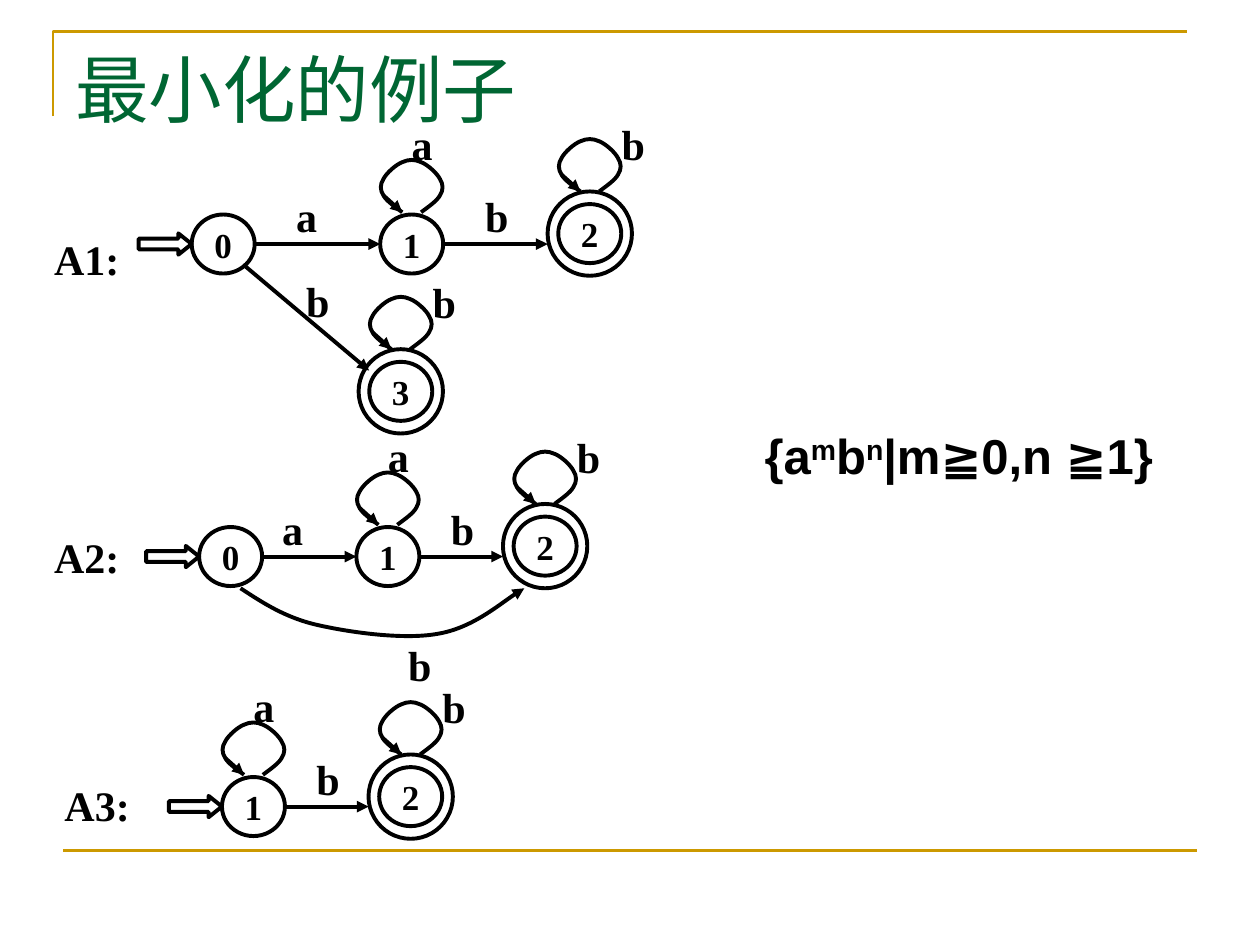
from lxml import etree
from pptx import Presentation
from pptx.dml.color import RGBColor
from pptx.enum.shapes import MSO_CONNECTOR, MSO_SHAPE
from pptx.enum.text import MSO_ANCHOR, MSO_AUTO_SIZE, PP_ALIGN
from pptx.oxml.ns import qn
from pptx.util import Cm, Pt

STRAIGHT = MSO_CONNECTOR.STRAIGHT
OVAL, ARROW = MSO_SHAPE.OVAL, MSO_SHAPE.RIGHT_ARROW
MIDDLE, CENTER = MSO_ANCHOR.MIDDLE, PP_ALIGN.CENTER
FIT_SHAPE = MSO_AUTO_SIZE.SHAPE_TO_FIT_TEXT

COLORS = {"ink": "000000", "title": "006633", "rule": "CC9900"}
SERIF, SANS = "Times New Roman", "Arial"

# Content; all positions in cm
TITLE = "最小化的例子"
FORMULA = [("{a", False), ("m", True), ("b", False), ("n", True),
           ("|m≧0,n ≧1}", False)]

# states: name -> (centre x, centre y, accepting, loop letter); the first starts
# edges: (from, to, letter, letter x)
AUTOMATA = [
    {"name": "A1:", "at": (1.09, 4.7),
     "states": {"0": (4.5, 4.92, False, None), "1": (8.3, 4.92, False, "a"),
                "2": (11.89, 4.71, True, "b"), "3": (8.08, 7.89, True, "b")},
     "edges": [("0", "1", "a", 5.97), ("1", "2", "b", 9.78)]},
    {"name": "A2:", "at": (1.09, 10.72),
     "states": {"0": (4.65, 11.22, False, None), "1": (7.82, 11.22, False, "a"),
                "2": (10.99, 11.01, True, "b")},
     "edges": [("0", "1", "a", 5.69), ("1", "2", "b", 9.09)]},
    {"name": "A3:", "at": (1.3, 15.72),
     "states": {"1": (5.11, 16.26, False, "a"), "2": (8.28, 16.06, True, "b")},
     "edges": [("1", "2", "b", 6.38)]},
]
DIAGONAL = ((4.9, 5.33), (7.44, 7.47), "b", (6.17, 5.56))
ARC = [(4.85, 11.86), (5.28, 12.14), (5.74, 12.45), (6.4, 12.6),
       (7.06, 12.75), (8.13, 12.9), (8.81, 12.78),
       (9.5, 12.67), (10.29, 12.01), (10.57, 11.86)]
ARC_LABEL = ("b", (8.23, 12.9))

# Right half of a self-loop, measured from the top of its state
LOOP_HALF = [(0.19, 0), (0.35, -0.12), (0.51, -0.23), (0.57, -0.34),
             (0.64, -0.45), (0.64, -0.56), (0.57, -0.67),
             (0.51, -0.79), (0.32, -0.96), (0.19, -1.01), (0.06, -1.07)]
LOOP = LOOP_HALF + [(-x, y) for x, y in reversed(LOOP_HALF)]

STATE_W, STATE_H, RING = 1.27, 1.19, 1.7
START_W, START_H = 1.07, 0.43
LABEL_H = 1.02
LABEL_W = {"a": 0.43, "b": 0.48}
NAME_W = 1.32

prs = Presentation()
prs.slide_width, prs.slide_height = Cm(25.4), Cm(19.05)
s = prs.slides.add_slide(prs.slide_layouts[6])


def color(name):
    return RGBColor.from_string(COLORS[name])


def outline(sp, name="ink", width=2.25, head=False):
    sp.line.color.rgb = color(name)
    sp.line.width = Pt(width)
    if head:
        etree.SubElement(sp.line._get_or_add_ln(), qn("a:tailEnd"), type="triangle")


def style(p, size, name=SERIF, bold=True, ink="ink"):
    p.font.size, p.font.name, p.font.bold = Pt(size), name, bold
    p.font.color.rgb = color(ink)


def line(start, end, name="ink", width=2.25, head=True):
    sp = s.shapes.add_connector(STRAIGHT, *[Cm(v) for v in (*start, *end)])
    etree.SubElement(sp._element.spPr, qn("a:effectLst"))
    outline(sp, name, width, head)


def shape(kind, cx, cy, w, h):
    sp = s.shapes.add_shape(kind, Cm(cx - w / 2), Cm(cy - h / 2), Cm(w), Cm(h))
    sp.shadow.inherit = False
    sp.fill.background()
    outline(sp)
    return sp


def freeform(points, name="ink", width=2.25, head=False, curved=True):
    pts = [(Cm(x), Cm(y)) for x, y in points]
    fb = s.shapes.build_freeform(*pts[0])
    fb.add_line_segments(pts[1:], close=False)
    sp = fb.convert_to_shape()
    sp.shadow.inherit = False
    sp.fill.background()
    outline(sp, name, width, head)
    if curved:  # every three line ends become one Bezier segment
        path = sp._element.spPr.find(".//" + qn("a:path"))
        steps = path.findall(qn("a:lnTo"))
        for i in range(0, len(steps), 3):
            bezier = etree.SubElement(path, qn("a:cubicBezTo"))
            for step in steps[i:i + 3]:
                bezier.append(step[0])
                path.remove(step)


def text_box(x, y, w, h):
    tf = s.shapes.add_textbox(Cm(x), Cm(y), Cm(w), Cm(h)).text_frame
    tf.word_wrap = True
    return tf


def no_margins(tf):
    tf.margin_left = tf.margin_right = tf.margin_top = tf.margin_bottom = 0


def label(text, at, w):
    tf = text_box(*at, w, LABEL_H)
    no_margins(tf)
    tf.word_wrap = False
    tf.auto_size = FIT_SHAPE
    p = tf.paragraphs[0]
    p.text = text
    style(p, 24)


def state(name, cx, cy, accepting, loop):
    tf = shape(OVAL, cx, cy, STATE_W, STATE_H).text_frame
    no_margins(tf)
    tf.vertical_anchor = MIDDLE
    p = tf.paragraphs[0]
    p.text, p.alignment = name, CENTER
    style(p, 20)
    if accepting:
        shape(OVAL, cx, cy, RING, RING)
    if loop:
        top = cy - (RING / 2 if accepting else 0.64)
        freeform([(cx + x, top + y) for x, y in LOOP])
        line((cx - 0.57, top - 0.34), (cx - 0.19, top))
        dx, dy = (0.64, -2.32) if accepting else (0, -2.54)
        label(loop, (cx + dx, cy + dy), LABEL_W[loop])


# Frame rules
freeform([(1.07, 2.34), (1.07, 0.64), (23.93, 0.64)], "rule", 1.5, curved=False)
line((1.27, 17.15), (24.13, 17.15), "rule", 1.5, head=False)

# Automata
for fa in AUTOMATA:
    label(fa["name"], fa["at"], NAME_W)
    states = fa["states"]
    for name, values in states.items():
        state(name, *values)
    x, y = next(iter(states.values()))[:2]
    start = shape(ARROW, x - (STATE_W + START_W) / 2, y, START_W, START_H)
    start.adjustments[1] = 0.625
    for source, target, letter, letter_x in fa["edges"]:
        x1, y = states[source][:2]
        x2, _, accepting, _ = states[target]
        line((x1 + STATE_W / 2, y), (x2 - (RING if accepting else STATE_W) / 2, y))
        label(letter, (letter_x, y - 1.07), LABEL_W[letter])

# Edges that leave the row
begin, end, letter, at = DIAGONAL
line(begin, end)
label(letter, at, LABEL_W[letter])
freeform(ARC, head=True)
letter, at = ARC_LABEL
label(letter, at, LABEL_W[letter])

# Language formula
tf = text_box(14.53, 8.46, 9.6, 1.45)
tf.auto_size = FIT_SHAPE
p = tf.paragraphs[0]
p.alignment, p.space_before = CENTER, Pt(17.5)
style(p, 28, SANS)
for text, raised in FORMULA:
    r = p.add_run()
    r.text = text
    if raised:
        r.font._element.set("baseline", "30000")

# Title
p = text_box(1.27, 0.76, 22.86, 3.18).paragraphs[0]
p.text = TITLE
style(p, 42, bold=False, ink="title")

prs.save("out.pptx")
